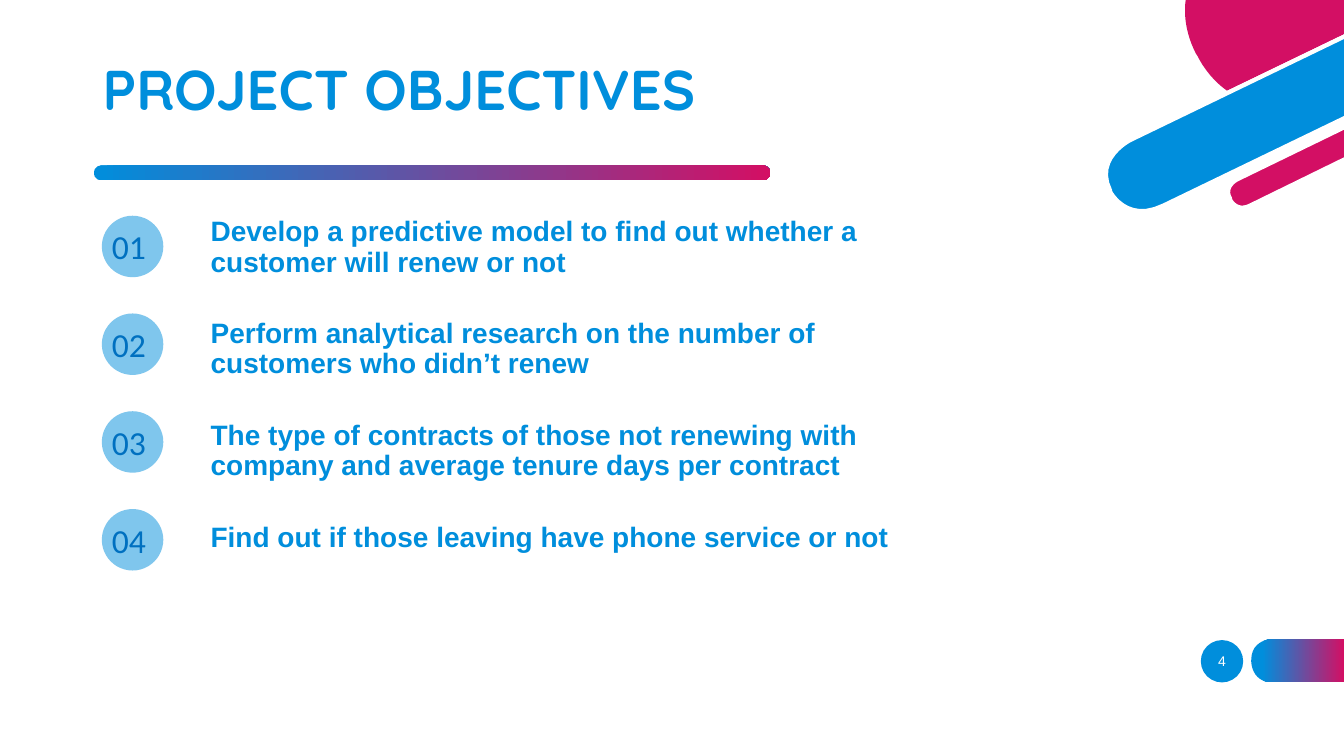
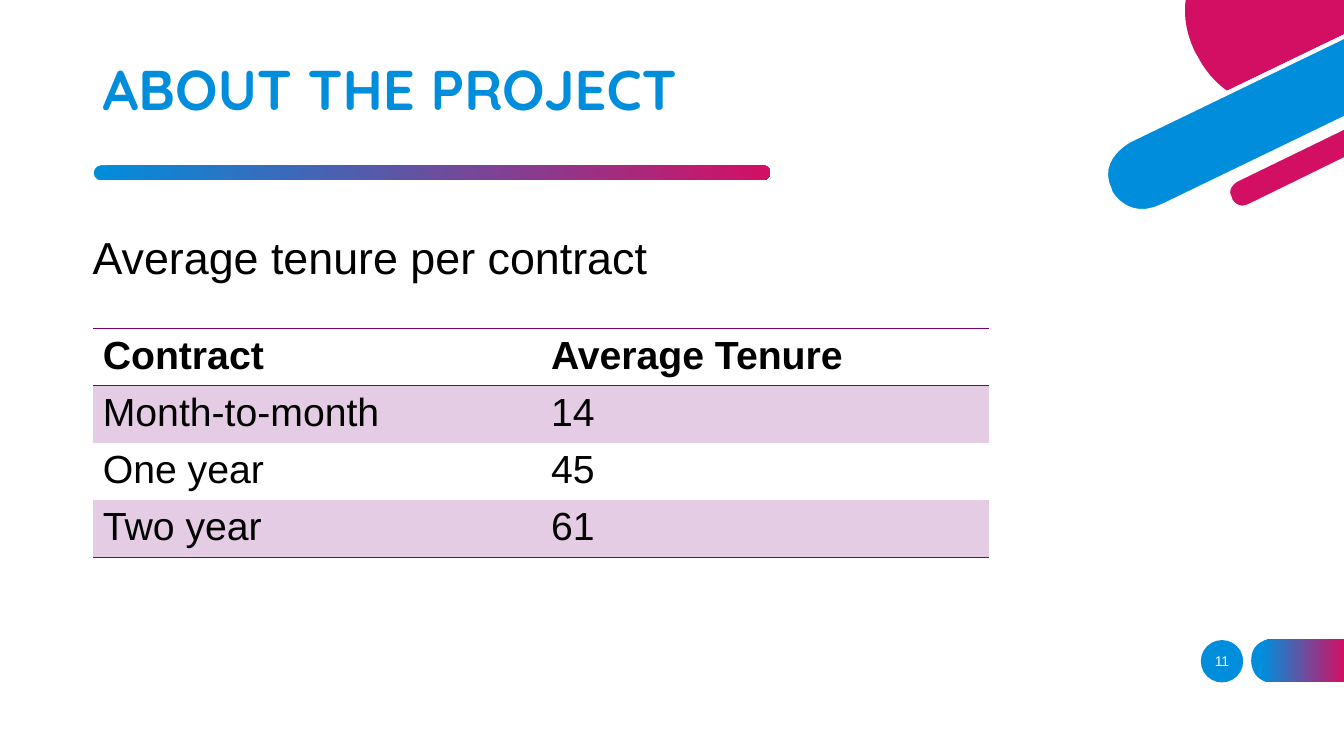
from lxml.etree import SubElement
from pptx import Presentation
from pptx.dml.color import RGBColor
from pptx.enum.shapes import MSO_SHAPE as Preset
from pptx.enum.text import MSO_ANCHOR as Anchor, PP_ALIGN as Align
from pptx.oxml.ns import qn
from pptx.util import Inches, Pt

BLUE = RGBColor(0x00, 0x8E, 0xDC)
PINK = RGBColor(0xD3, 0x0F, 0x64)
PALE_BLUE = RGBColor(0x7F, 0xC6, 0xED)
NUMBER_BLUE = RGBColor(0x00, 0x70, 0xC0)
PURPLE = RGBColor(0x7A, 0x00, 0x78)
LILAC = RGBColor(0xE4, 0xCC, 0xE4)
BLACK = RGBColor(0x00, 0x00, 0x00)
WHITE = RGBColor(0xFF, 0xFF, 0xFF)
BODY_FONT, TITLE_FONT, NUMBER_FONT = "Arial", "Quicksand", "Calibri"
PLAIN_TABLE_STYLE = "{2D5ABB26-0587-4C30-8999-92F81FD0307C}"

DISC = [(0.93, 0.56), (0.93, 0.56, 1.02, 0.76, 1.22, 0.9), (2.38, 0.34),
        (2.38, 0), (0.81, 0), (0.79, 0.15, 0.81, 0.33, 0.91, 0.53)]
STRIPE = [(1.32, 1.78), (1.32, 1.78, 1.18, 1.85, 1.25, 1.97), (1.25, 1.98),
          (1.25, 1.98, 1.31, 2.11, 1.45, 2.04), (2.41, 1.57), (2.41, 1.25)]
BAR = [(0.26, 1.39), (0.26, 1.39, -0.1, 1.57, 0.06, 1.89), (0.06, 1.9),
       (0.06, 1.9, 0.22, 2.22, 0.59, 2.04), (2.41, 1.16), (2.41, 0.35)]
TAB = [(0.8, 0.43), (1.51, 0.43), (1.51, 0), (0.8, 0),
       (0.8, 0, 0.59, 0, 0.59, 0.21), (0.59, 0.22),
       (0.59, 0.22, 0.59, 0.43, 0.8, 0.43)]

OBJECTIVES = [
    "Develop a predictive model to find out whether a customer will renew or not",
    "Perform analytical research on the number of customers who didn’t renew",
    "The type of contracts of those not renewing with company and average tenure days per contract",
    "Find out if those leaving have phone service or not",
]
TENURE = [("Contract", "Average Tenure"), ("Month-to-month", "14"),
          ("One year", "45"), ("Two year", "61")]


def fade(fill, start=0):
    """Fill with the blue to pink gradient, left to right."""
    fill.gradient()
    fill.gradient_angle = 0
    for stop, color, position in zip(fill.gradient_stops, (BLUE, PINK), (start, 1)):
        stop.color.rgb = color
        stop.position = position


def paint(shape, color=None):
    """Remove shadow and line, and fill with a colour if given."""
    shape.shadow.inherit = False
    shape.line.fill.background()
    if color is not None:
        shape.fill.solid()
        shape.fill.fore_color.rgb = color
    return shape


def trace(outline, steps=12):
    """Turn corners and cubic curves into a list of points."""
    points = []
    for segment in outline:
        if len(segment) == 2:
            points.append(segment)
            continue
        knots = [points[-1], segment[:2], segment[2:4], segment[4:]]
        for step in range(1, steps + 1):
            t = step / steps
            weights = ((1 - t) ** 3, 3 * t * (1 - t) ** 2, 3 * t * t * (1 - t), t ** 3)
            points.append(tuple(sum(w * knot[axis] for w, knot in zip(weights, knots))
                                for axis in (0, 1)))
    return points


def add_outline(page, left, top, outline, color=None, edge=None):
    """Draw a closed outline relative to a corner point."""
    points = [(Inches(left + x), Inches(top + y)) for x, y in trace(outline)]
    builder = page.shapes.build_freeform(*points[0])
    builder.add_line_segments(points[1:], close=True)
    shape = paint(builder.convert_to_shape(), color)
    if edge is not None:
        shape.line.color.rgb = edge
        shape.line.width = Pt(3)
    return shape


def write(frame, text, size, color=None, font=BODY_FONT, bold=False, anchor=Anchor.TOP,
          align=Align.LEFT, spacing=None):
    """Set one paragraph of text and return its run."""
    frame.text = text
    frame.word_wrap = True
    frame.vertical_anchor = anchor
    para = frame.paragraphs[0]
    para.alignment = align
    para.line_spacing = spacing
    span = para.runs[0]
    span.font.name, span.font.size, span.font.bold = font, Pt(size), bold
    if color is not None:
        span.font.color.rgb = color
    return span


def set_insets(frame, left=0):
    """Clear the insets of a text frame, apart from the left one."""
    frame.margin_left = Inches(left)
    frame.margin_right = frame.margin_top = frame.margin_bottom = 0


def add_text(page, left, top, width, height, text, size, color=None, **style):
    """Add a text box and return its run."""
    box = page.shapes.add_textbox(Inches(left), Inches(top), Inches(width), Inches(height))
    return write(box.text_frame, text, size, color, **style)


def add_badge(page, left, top, size, color):
    """Add a plain circle."""
    return paint(page.shapes.add_shape(Preset.OVAL, Inches(left), Inches(top),
                                       Inches(size), Inches(size)), color)


def add_corner(page, left, top):
    """Draw the bands in the upper right corner."""
    add_outline(page, left, top, DISC, PINK)
    add_outline(page, left, top, STRIPE, PINK, WHITE)
    add_outline(page, left, top, BAR, BLUE, WHITE)


def add_footer(page, left, top, number):
    """Draw the page number and its gradient tab."""
    fade(add_outline(page, left, top, TAB).fill, 0.12)
    badge = add_badge(page, left + 0.09, top + 0.01, 0.42, BLUE)
    set_insets(badge.text_frame)
    write(badge.text_frame, number, 10, WHITE, anchor=Anchor.MIDDLE, align=Align.CENTER)


def add_heading(page, left, top, title):
    """Draw the title and the gradient rule below it."""
    span = add_text(page, left, top, 9.9, 1.03, title, 40, font=TITLE_FONT, bold=True,
                    anchor=Anchor.MIDDLE, spacing=0.9)
    fade(span.font.fill)
    rule = paint(page.shapes.add_shape(Preset.ROUNDED_RECTANGLE, Inches(left + 0.01),
                                       Inches(top + 1.24), Inches(6.71), Inches(0.15)))
    rule.adjustments[0] = 0.5
    fade(rule.fill)


def add_page(deck, title, number):
    """Add a slide with everything that all slides share."""
    page = deck.slides.add_slide(deck.slide_layouts[6])
    add_corner(page, 10.95, 0)
    add_footer(page, 11.82, 6.34, number)
    add_heading(page, 0.92, 0.4, title)
    return page


def add_objectives(page, left, top, objectives):
    """List the objectives beside numbered circles."""
    for index, objective in enumerate(objectives):
        badge = add_badge(page, left, top + 0.03 + 0.97 * index, 0.61, PALE_BLUE)
        set_insets(badge.text_frame, 0.01)
        write(badge.text_frame, f"{index + 1:02}", 24, NUMBER_BLUE, font=NUMBER_FONT,
              anchor=Anchor.MIDDLE)
        add_text(page, left + 0.98, top + 1.01 * index, 7.48, 0.54, objective, 20, BLUE,
                 bold=True, spacing=0.9)


def add_border(cell, side):
    """Draw a purple line on one side of a cell."""
    line = SubElement(cell._tc.get_or_add_tcPr(), qn(f"a:{side}"), w=str(Pt(1)))
    SubElement(SubElement(line, qn("a:solidFill")), qn("a:srgbClr"), val=str(PURPLE))


def add_tenure_table(page, left, top, width, height, rows):
    """Add the banded table with lines around header and end."""
    table = page.shapes.add_table(len(rows), len(rows[0]), Inches(left), Inches(top),
                                  Inches(width), Inches(height)).table
    table._tbl.tblPr.find(qn("a:tableStyleId")).text = PLAIN_TABLE_STYLE
    last = len(rows) - 1
    for row, values in enumerate(rows):
        for column, value in enumerate(values):
            cell = table.cell(row, column)
            write(cell.text_frame, value, 28, BLACK, bold=row == 0)
            if row == 0:
                add_border(cell, "lnT")
            if row in (0, last):
                add_border(cell, "lnB")
            if row % 2:
                cell.fill.solid()
                cell.fill.fore_color.rgb = LILAC
            else:
                cell.fill.background()


def main():
    """Build and save the deck."""
    deck = Presentation()
    deck.slide_width, deck.slide_height = Inches(13.33), Inches(7.5)
    page = add_page(deck, "PROJECT OBJECTIVES", "4")
    add_objectives(page, 1.01, 2.11, OBJECTIVES)
    page = add_page(deck, "ABOUT THE PROJECT", "11")
    add_text(page, 0.82, 2.23, 5.87, 0.64, "Average tenure per contract", 32, BLACK)
    add_tenure_table(page, 0.92, 3.26, 8.89, 2.27, TENURE)
    deck.save("out.pptx")


if __name__ == "__main__":
    main()
